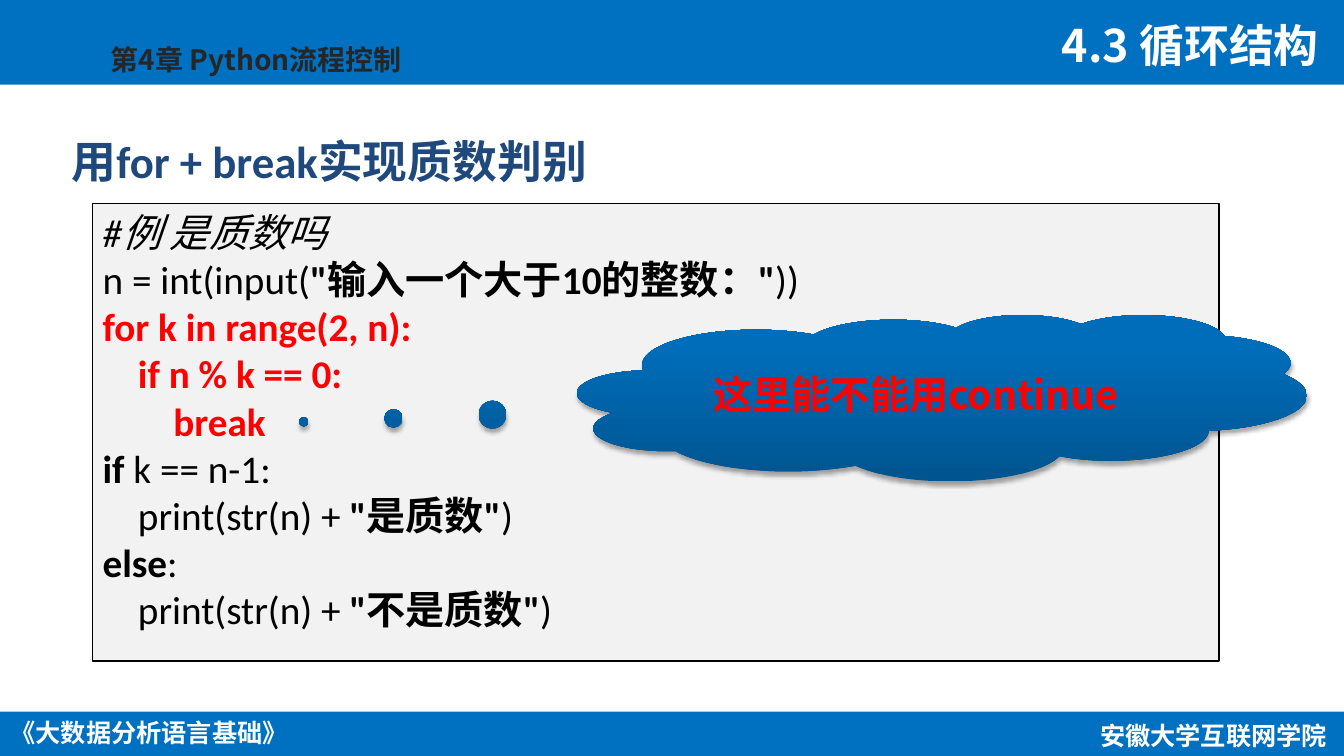
from lxml.etree import SubElement
from pptx import Presentation
from pptx.dml.color import RGBColor
from pptx.enum.shapes import MSO_SHAPE as Shape
from pptx.enum.text import MSO_ANCHOR as Anchor, MSO_AUTO_SIZE as AutoSize, PP_ALIGN as Align
from pptx.oxml import parse_xml
from pptx.oxml.ns import nsdecls, qn
from pptx.util import Inches, Pt

SANS, LATIN = "Noto Sans CJK SC", "Calibri"
BLUE, RED, BLACK, WHITE = "0070C0", "FF0000", "000000", "FFFFFF"


def rgb(value):
    return RGBColor.from_string(value)


def add_span(para, text, size, color, typeface=SANS, **formats):
    span = para.add_run()
    span.text = text
    formats = {"name": typeface, "size": Pt(size), **formats}
    for name, value in formats.items():
        setattr(span.font, name, value)
    span.font.color.rgb = rgb(color)
    SubElement(span.font._element, qn("a:ea")).set("typeface", SANS)


deck = Presentation()
deck.slide_width, deck.slide_height = Inches(13.34), Inches(7.5)
page = deck.slides.add_slide(deck.slide_layouts[5])

# Header and footer bands
for top, height in ((0, 0.84), (7.06, 0.45)):
    band = page.shapes.add_shape(
        Shape.RECTANGLE, 0, Inches(top), Inches(13.34), Inches(height))
    band.shadow.inherit = False
    band.fill.solid()
    band.fill.fore_color.rgb = rgb(BLUE)
    band.line.fill.background()

# Labels on the bands: text, position, wrap, alignment, size, colour
labels = [
    ("《大数据分析语言基础》", (-0.01, 7.07, 2.98, 0.4), False, Align.CENTER, 18, "FAFAFA"),
    ("第4章 Python流程控制", (1, 0.37, 3.78, 0.44), True, Align.LEFT, 20, "262626"),
    ("安徽大学互联网学院", (10.81, 7.1, 2.47, 0.4), False, Align.CENTER, 18, WHITE),
    ("4.3 循环结构", (9.16, 0.13, 4.03, 0.64), True, Align.RIGHT, 32, WHITE),
]
for text, position, wrap, alignment, size, color in labels:
    box = page.shapes.add_textbox(*map(Inches, position))
    frame = box.text_frame
    frame.word_wrap = wrap
    frame.auto_size = AutoSize.SHAPE_TO_FIT_TEXT
    para = frame.paragraphs[0]
    para.alignment = alignment
    add_span(para, text, size, color, bold=True)

# Slide title
title = page.shapes.title
title.left, title.top, title.width, title.height = map(Inches, (0.61, 0.98, 10.63, 0.94))
frame = title.text_frame
frame.vertical_anchor = Anchor.BOTTOM
frame.auto_size = AutoSize.NONE
para = frame.paragraphs[0]
para.alignment = Align.LEFT
para.line_spacing = 0.9
add_span(para, "用for + break实现质数判别", 32, "1F497D", LATIN, bold=True)

# Code listing: each line is a list of (text, style)
styles = {
    "plain": {"color": BLACK},
    "strong": {"color": BLACK, "bold": True},
    "comment": {"color": BLACK, "italic": True},
    "loop": {"color": RED, "bold": True},
}
code_lines = [
    [("#例 是质数吗", "comment")],
    [("n = int(input(", "plain"), ('"输入一个大于10的整数："', "strong"), ("))", "plain")],
    [("for k in range(2, n):", "loop")],
    [("    if n % k == 0:", "loop")],
    [("        break", "loop")],
    [("if ", "strong"), ("k == n-1:", "plain")],
    [("    print(str(n) + ", "plain"), ('"是质数"', "strong"), (")", "plain")],
    [("else", "strong"), (":", "plain")],
    [("    print(str(n) + ", "plain"), ('"不是质数"', "strong"), (")", "plain")],
]
listing = page.shapes.add_shape(
    Shape.RECTANGLE, Inches(0.92), Inches(2.02), Inches(11.18), Inches(4.54))
listing.shadow.inherit = False
listing.fill.solid()
listing.fill.fore_color.rgb = rgb("F2F2F2")
listing.line.color.rgb = rgb(BLACK)
listing.line.width = Pt(1)
frame = listing.text_frame
frame.word_wrap = True
frame.vertical_anchor = Anchor.TOP
for index, code_line in enumerate(code_lines):
    para = frame.add_paragraph() if index else frame.paragraphs[0]
    para.alignment = Align.LEFT
    for text, style in code_line:
        add_span(para, text, 28, typeface=LATIN, **styles[style])

# Thought cloud pointing at the break line
cloud = page.shapes.add_shape(
    Shape.CLOUD_CALLOUT, Inches(5.73), Inches(3.12), Inches(7.24), Inches(1.65))
cloud.adjustments[0], cloud.adjustments[1] = -0.875, 0.145
cloud.line.fill.background()
cloud.fill.gradient()
cloud.fill.gradient_angle = 90
for stop, (position, color) in zip(cloud.fill.gradient_stops, ((0, "00548F"), (0.8, "006DBA"))):
    stop.position = position
    stop.color.rgb = rgb(color)
cloud._element.spPr.append(parse_xml(
    f'<a:effectLst {nsdecls("a")}>'
    f'<a:outerShdw blurRad="{Pt(3.1)}" dist="{Pt(1.8)}" dir="5400000" rotWithShape="0">'
    '<a:srgbClr val="000000"><a:alpha val="35000"/></a:srgbClr>'
    '</a:outerShdw></a:effectLst>'))
frame = cloud.text_frame
frame.word_wrap = True
frame.vertical_anchor = Anchor.MIDDLE
para = frame.paragraphs[0]
para.alignment = Align.CENTER
add_span(para, "这里能不能用continue", 28, RED, bold=True)

deck.save("out.pptx")
